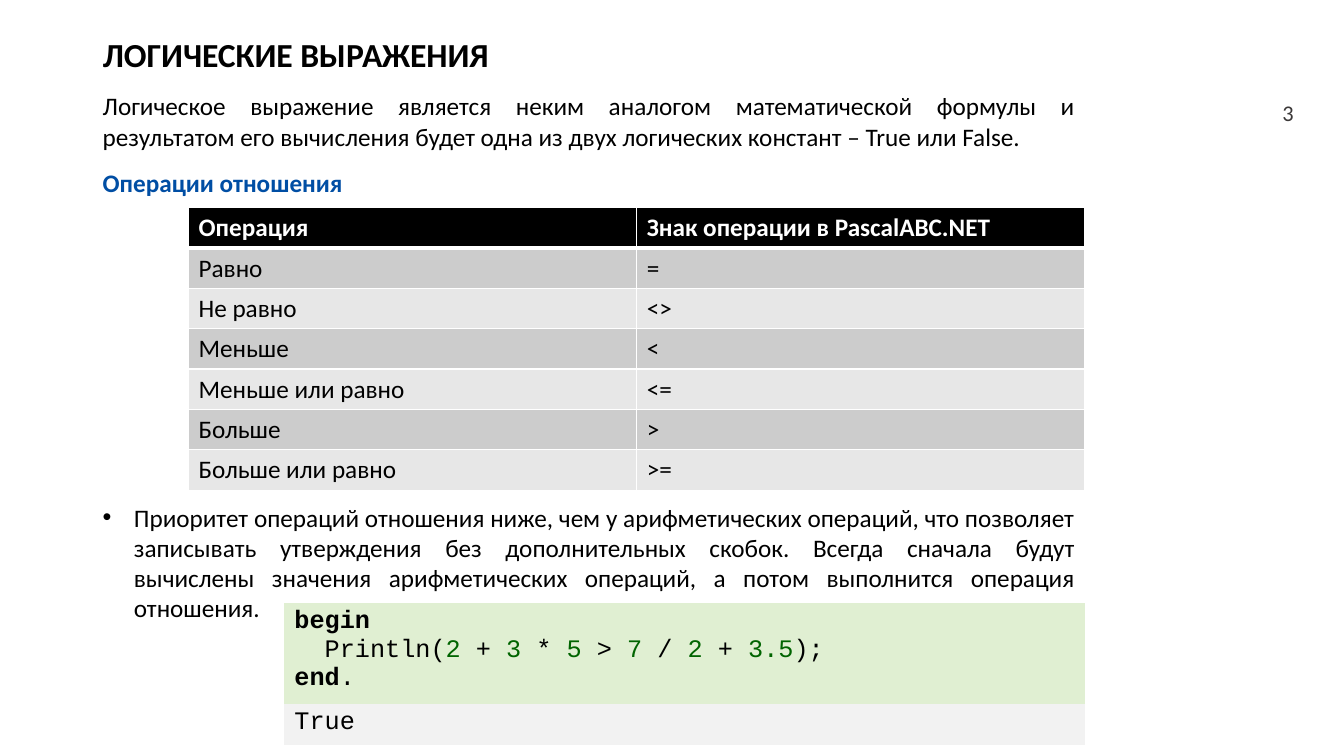
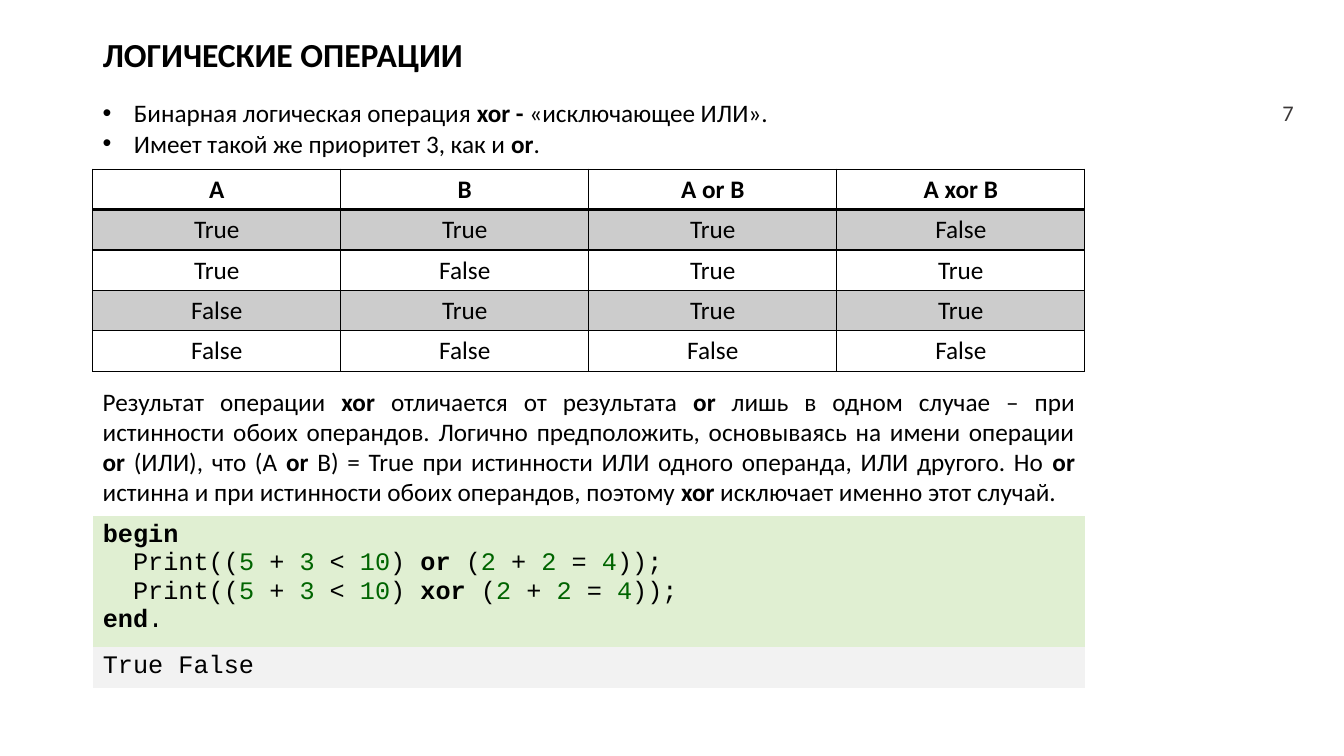
from itertools import groupby

from lxml import etree
from pptx import Presentation
from pptx.dml.color import RGBColor
from pptx.enum.text import MSO_ANCHOR, MSO_AUTO_SIZE, PP_ALIGN
from pptx.oxml.ns import qn
from pptx.util import Pt

PX = 9144  # 100 px to the inch
LEFT, WIDTH = 92, 984
RIGHT = LEFT + WIDTH
ROW, OUTPUT_ROW, HANGING = 40, 41, 31
TITLE_LAYOUT = 5
BODY_FONT, CODE_FONT = "Calibri", "Courier New"
BODY_SIZE, TITLE_SIZE, NUMBER_SIZE = 18, 24, 16
PLAIN_TABLE = "{2D5ABB26-0587-4C30-8999-92F81FD0307C}"
KEYWORDS = {"begin", "end", "or", "xor"}

COLORS = {
    "text": "000000",
    "white": "FFFFFF",
    "heading": "004EA4",
    "number": "3B3838",
    "literal": "006400",
    "code": "E0EFD2",
    "output": "F2F2F2",
    "dark band": "CCCCCC",
    "light band": "E7E7E7",
}

CENTER, JUSTIFY = PP_ALIGN.CENTER, PP_ALIGN.JUSTIFY
ALIGN_LEFT, ALIGN_RIGHT = PP_ALIGN.LEFT, PP_ALIGN.RIGHT
TOP, MIDDLE = MSO_ANCHOR.TOP, MSO_ANCHOR.MIDDLE
GROW = MSO_AUTO_SIZE.SHAPE_TO_FIT_TEXT


def rgb(name):
    return RGBColor.from_string(COLORS[name])


def prose_spans(line):
    """Split a line into (text, bold, colour); ** switches bold on and off."""
    return [(text, True if place % 2 else None, None)
            for place, text in enumerate(line.split("**")) if text]


def char_class(char):
    if char.isdigit() or char == ".":
        return "number"
    return "word" if char.isalpha() else "other"


def code_spans(line):
    """Split code into (text, bold, colour): bold keywords, green numbers."""
    tokens = []
    for kind, chars in groupby(line, char_class):
        text = "".join(chars)
        is_number = kind == "number" and text != "."
        tokens.append((text, True if text in KEYWORDS else None,
                       "literal" if is_number else None))
    return [("".join(token[0] for token in group), *style)
            for style, group in groupby(tokens, lambda token: token[1:])]


def add_bullet(para):
    props = para._p.get_or_add_pPr()
    props.set("marL", str(HANGING * PX))
    props.set("indent", str(-HANGING * PX))
    etree.SubElement(props, qn("a:buFont")).set("typeface", "Arial")
    etree.SubElement(props, qn("a:buChar")).set("char", "•")


def set_borders(cell, color, points):
    """Draw the cell's edges; points maps L, R, T and B to line widths."""
    props = cell._tc.get_or_add_tcPr()
    for side in "LRTB":
        line = etree.SubElement(props, qn(f"a:ln{side}"))
        line.set("w", str(Pt(points[side])))
        fill = etree.SubElement(line, qn("a:solidFill"))
        etree.SubElement(fill, qn("a:srgbClr")).set("val", COLORS[color])


def fill_cell(cell, color):
    if color is None:
        cell.fill.background()
    else:
        cell.fill.solid()
        cell.fill.fore_color.rgb = rgb(color)


class Lesson:
    """Holds the deck, its text style and the current page."""

    def __init__(self):
        self.deck = Presentation()
        self.deck.slide_width = 1333 * PX
        self.deck.slide_height = 750 * PX
        self.page = None

    def add_page(self, title, number):
        layout = self.deck.slide_layouts[TITLE_LAYOUT]
        self.page = self.deck.slides.add_slide(layout)
        box = self.page.shapes.title
        box.left, box.top, box.width, box.height = (
            length * PX for length in (LEFT, 13, 1078, 87))
        box.text_frame.vertical_anchor = MIDDLE
        self.set_text(box.text_frame, [title], size=TITLE_SIZE, bold=True)
        box.text_frame.paragraphs[0].line_spacing = 0.9
        self.text([number], 92, 40, left=1242, width=51, anchor=MIDDLE,
                  align=ALIGN_RIGHT, size=NUMBER_SIZE, color="number")

    def set_text(self, frame, lines, align=ALIGN_LEFT, size=BODY_SIZE,
                 color="text", bold=False, font=BODY_FONT, bullets=False,
                 split=prose_spans):
        for place, line in enumerate(lines):
            para = frame.paragraphs[0] if place == 0 else frame.add_paragraph()
            para.alignment = align
            if bullets:
                add_bullet(para)
            para.font.name = font
            para.font.size = Pt(size)
            para.font.bold = bold
            para.font.color.rgb = rgb(color)
            for text, span_bold, span_color in split(line):
                span = para.add_run()
                span.text = text
                if span_bold:
                    span.font.bold = True
                if span_color:
                    span.font.color.rgb = rgb(span_color)

    def text(self, lines, top, height, left=LEFT, width=WIDTH, anchor=TOP,
             **style):
        box = self.page.shapes.add_textbox(
            left * PX, top * PX, width * PX, height * PX)
        frame = box.text_frame
        frame.word_wrap = True
        frame.auto_size = GROW
        frame.vertical_anchor = anchor
        self.set_text(frame, lines, **style)

    def grid(self, left, top, heights, columns):
        """Add an unstyled table that reaches the right text margin."""
        width = (RIGHT - left) * PX
        table = self.page.shapes.add_table(
            len(heights), columns, left * PX, top * PX, width,
            sum(heights) * PX).table
        table.first_row = table.horz_banding = False
        table._tbl.tblPr.find(qn("a:tableStyleId")).text = PLAIN_TABLE
        for column in table.columns:
            column.width = width // columns
        for row, height in zip(table.rows, heights):
            row.height = height * PX
        return table

    def data_table(self, rows, left, top, header_fill, bands, line_color,
                   header_line, header_text="text", anchor=TOP,
                   align=ALIGN_LEFT):
        table = self.grid(left, top, [ROW] * len(rows), len(rows[0]))
        for row, values in enumerate(rows):
            header = row == 0
            points = {"L": 1, "R": 1,
                      "T": header_line if row == 1 else 1,
                      "B": header_line if header else 1}
            for column, value in enumerate(values):
                cell = table.cell(row, column)
                cell.vertical_anchor = anchor
                set_borders(cell, line_color, points)
                fill_cell(cell, header_fill if header else bands[(row - 1) % 2])
                self.set_text(cell.text_frame, [value], align=align,
                              bold=header,
                              color=header_text if header else "text")

    def code(self, lines, output, left, top, height):
        """Add a listing with the program's output under it."""
        table = self.grid(left, top, [height, OUTPUT_ROW], 1)
        parts = ((lines, "code", code_spans), ([output], "output", prose_spans))
        for row, (content, color, split) in enumerate(parts):
            cell = table.cell(row, 0)
            fill_cell(cell, color)
            self.set_text(cell.text_frame, content, font=CODE_FONT, split=split)


def add_relations(lesson):
    lesson.add_page("ЛОГИЧЕСКИЕ ВЫРАЖЕНИЯ", "3")
    lesson.text(["Логическое выражение является неким аналогом математической "
                 "формулы и результатом его вычисления будет одна из двух "
                 "логических констант – True или False."],
                85, 71, align=JUSTIFY)
    lesson.text(["Операции отношения"], 161, 40, width=380, bold=True,
                color="heading")
    lesson.data_table(
        [("Операция", "Знак операции в PascalABC.NET"),
         ("Равно", "="),
         ("Не равно", "<>"),
         ("Меньше", "<"),
         ("Меньше или равно", "<="),
         ("Больше", ">"),
         ("Больше или равно", ">=")],
        187, 206, header_fill="text", header_text="white",
        bands=("dark band", "light band"), line_color="white", header_line=3)
    lesson.text(["Приоритет операций отношения ниже, чем у арифметических "
                 "операций, что позволяет записывать утверждения без "
                 "дополнительных скобок. Всегда сначала будут вычислены "
                 "значения арифметических операций, а потом выполнится "
                 "операция отношения."],
                493, 131, align=JUSTIFY, bullets=True)
    lesson.code(["begin", "  Println(2 + 3 * 5 > 7 / 2 + 3.5);", "end."],
                "True", 282, 598, 100)


def add_exclusive_or(lesson):
    lesson.add_page("ЛОГИЧЕСКИЕ ОПЕРАЦИИ", "7")
    lesson.text(["Бинарная логическая операция **xor -** «исключающее ИЛИ».",
                 "Имеет такой же приоритет 3, как и **or**."],
                92, 71, align=JUSTIFY, bullets=True)
    lesson.data_table(
        [("A", "B", "A or B", "A xor B"),
         ("True", "True", "True", "False"),
         ("True", "False", "True", "True"),
         ("False", "True", "True", "True"),
         ("False", "False", "False", "False")],
        LEFT, 168, header_fill=None, bands=("dark band", None),
        line_color="text", header_line=2, anchor=MIDDLE, align=CENTER)
    lesson.text(["Результат операции **xor** отличается от результата **or** "
                 "лишь в одном случае – при истинности обоих операндов. "
                 "Логично предположить, основываясь на имени операции **or** "
                 "(ИЛИ), что (A **or** B) = True при истинности ИЛИ одного "
                 "операнда, ИЛИ другого. Но **or** истинна и при истинности "
                 "обоих операндов, поэтому **xor** исключает именно этот "
                 "случай."],
                378, 131, align=JUSTIFY)
    lesson.code(["begin",
                 "  Print((5 + 3 < 10) or (2 + 2 = 4));",
                 "  Print((5 + 3 < 10) xor (2 + 2 = 4));",
                 "end."],
                "True False", LEFT, 512, 130)


def main():
    lesson = Lesson()
    add_relations(lesson)
    add_exclusive_or(lesson)
    lesson.deck.save("out.pptx")


if __name__ == "__main__":
    main()
